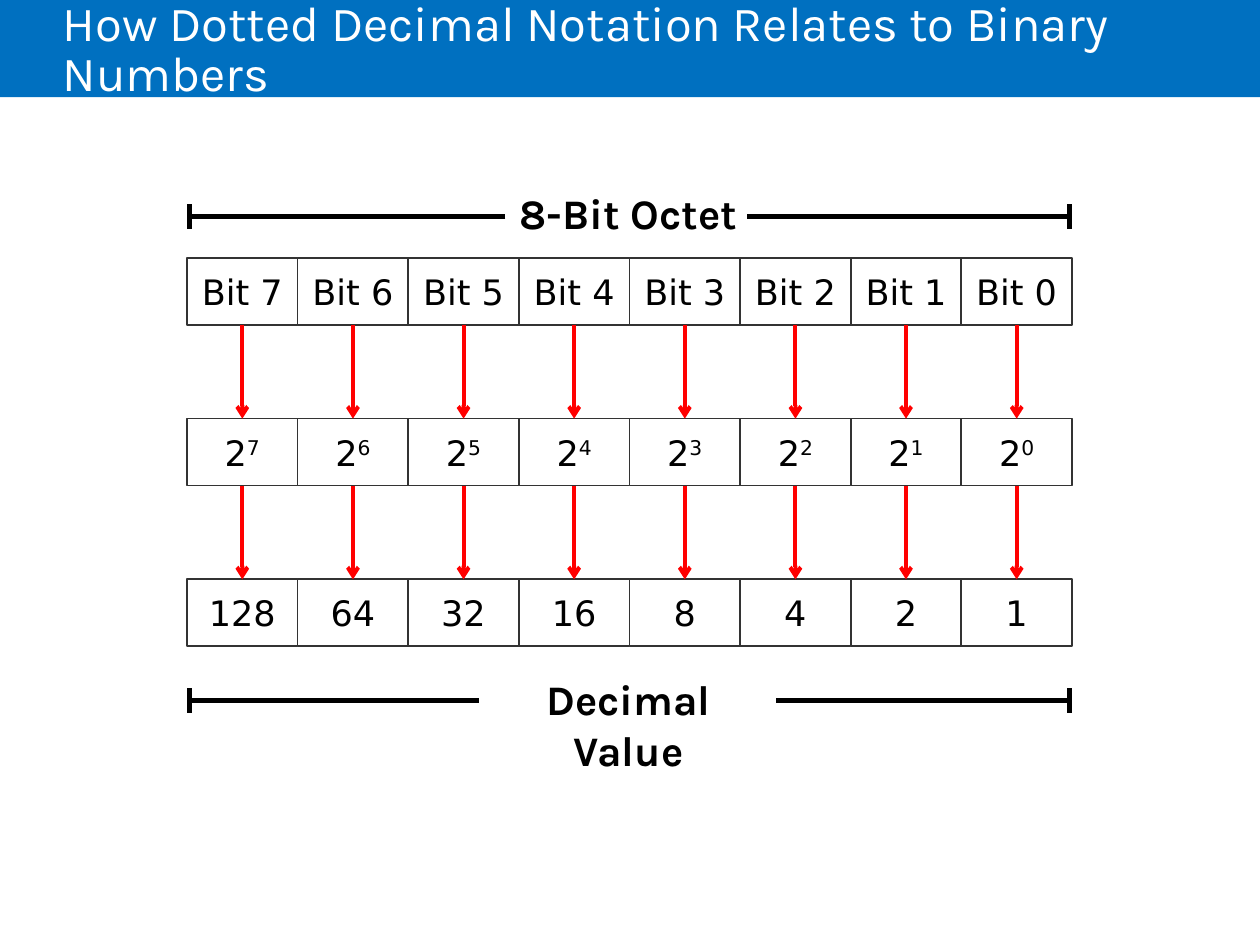
from lxml.etree import SubElement
from pptx import Presentation
from pptx.dml.color import RGBColor
from pptx.enum.shapes import MSO_CONNECTOR, MSO_SHAPE
from pptx.enum.text import MSO_ANCHOR, PP_ALIGN
from pptx.oxml.ns import qn
from pptx.util import Cm, Pt

HUES = {"band": "0070C0", "paper": "FFFFFF", "ink": "000000",
        "edge": "333333", "arrow": "FF0000"}
STEP, TALL = 2.23, 1.35


class Deck:
    """Hold the style and the current slide, and draw each kind of element."""

    def __init__(self, show):
        self.slide = show.slides.add_slide(show.slide_layouts[6])
        self.shapes = self.slide.shapes
        self.fonts = {
            "title": {"name": "Karla", "size": Pt(28), "bold": False},
            "label": {"name": "Karla", "size": Pt(24), "bold": True},
            "cell": {"name": "DejaVu Sans", "size": Pt(20), "bold": False},
        }

    def hue(self, name):
        return RGBColor.from_string(HUES[name])

    def apply(self, item, values):
        for name, value in values.items():
            setattr(item, name, value)

    def text(self, shape, words, kind, hue="ink", power="", frame=None, para=None):
        self.apply(shape.text_frame, frame or {})
        line = shape.text_frame.paragraphs[0]
        self.apply(line, para or {"alignment": PP_ALIGN.CENTER})
        for part in filter(None, (words, power)):
            run = line.add_run()
            run.text = part
            self.apply(run.font, self.fonts[kind])
            run.font.color.rgb = self.hue(hue)
        if power:
            run._r.get_or_add_rPr().set("baseline", "30000")

    def rect(self, left, top, width, height, fill, edge=None):
        shape = self.shapes.add_shape(
            MSO_SHAPE.RECTANGLE, Cm(left), Cm(top), Cm(width), Cm(height))
        shape.shadow.inherit = False
        shape.fill.solid()
        shape.fill.fore_color.rgb = self.hue(fill)
        if edge:
            shape.line.color.rgb = self.hue(edge)
            shape.line.width = Pt(1)
        else:
            shape.line.fill.background()
        return shape

    def cell(self, left, top, words, power=""):
        shape = self.rect(left, top, STEP, TALL, "paper", "edge")
        frame = {"word_wrap": False, "vertical_anchor": MSO_ANCHOR.MIDDLE}
        self.text(shape, words, "cell", power=power, frame=frame)
        return shape

    def title(self, words):
        box = self.shapes.add_textbox(Cm(1.27), Cm(0), Cm(21.59), Cm(2.06))
        frame = {"word_wrap": True, "margin_left": Cm(0),
                 "vertical_anchor": MSO_ANCHOR.MIDDLE}
        self.text(box, words, "title", "paper", frame=frame,
                  para={"line_spacing": 0.85})

    def label(self, top, words):
        box = self.shapes.add_textbox(Cm(9.87), Cm(top), Cm(5.6), Cm(1.27))
        self.text(box, words, "label", frame={"word_wrap": True})

    def line(self, start, end, hue="ink", width=3):
        link = self.shapes.add_connector(
            MSO_CONNECTOR.STRAIGHT, *map(Cm, (*start, *end)))
        link.line.color.rgb = self.hue(hue)
        link.line.width = Pt(width)
        SubElement(link._element.spPr, qn("a:effectLst"))
        return link

    def arrow(self, upper, lower):
        link = self.line((0, 0), (0, 0), "arrow", 2.25)
        link.begin_connect(upper, 2)
        link.end_connect(lower, 0)
        SubElement(link._element.spPr.find(qn("a:ln")), qn("a:tailEnd"), type="arrow")

    def bracket(self, y, near, far):
        for side, inner in ((3.82, near), (21.56, far)):
            self.line((inner, y), (side, y))
            self.line((side, y - 0.25), (side, y + 0.25))


def main():
    show = Presentation()
    show.slide_width, show.slide_height = Cm(25.4), Cm(19.05)
    deck = Deck(show)
    deck.rect(0, 0, 25.4, 1.96, "band")
    deck.title("How Dotted Decimal Notation Relates to Binary Numbers")
    deck.label(3.66, "8-Bit Octet")
    deck.bracket(4.37, 10.19, 15.06)
    for col, bit in enumerate(reversed(range(8))):
        left = 3.77 + col * STEP
        name = deck.cell(left, 5.2, f"Bit {bit}")
        power = deck.cell(left, 8.44, "2", str(bit))
        value = deck.cell(left, 11.68, str(2 ** bit))
        deck.arrow(name, power)
        deck.arrow(power, value)
    deck.label(13.46, "Decimal Value")
    deck.bracket(14.12, 9.65, 15.65)
    show.save("out.pptx")


if __name__ == "__main__":
    main()
